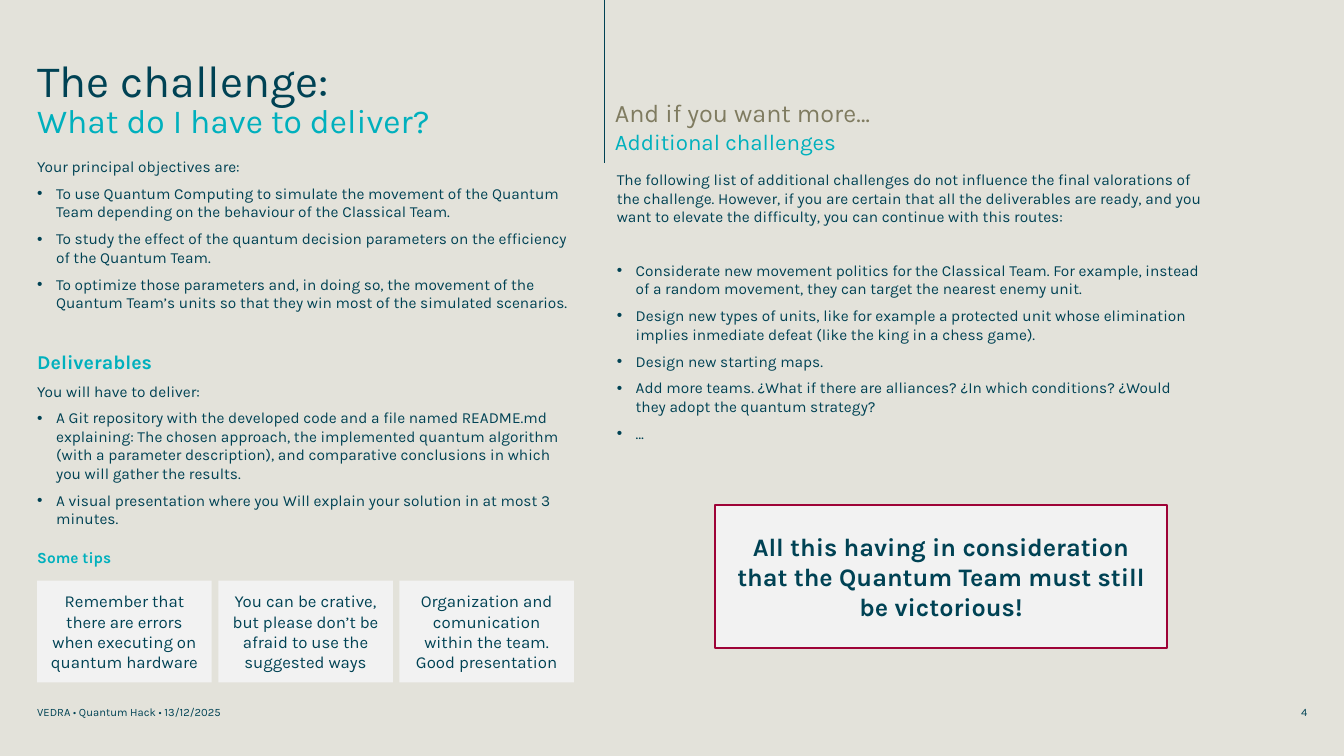
from dataclasses import dataclass

from lxml.etree import SubElement
from pptx import Presentation
from pptx.dml.color import RGBColor
from pptx.enum.shapes import MSO_CONNECTOR, MSO_SHAPE
from pptx.enum.text import MSO_ANCHOR as Anchor, PP_ALIGN as Align
from pptx.oxml.ns import qn
from pptx.util import Pt

SAND = RGBColor(0xE3, 0xE2, 0xDA)
NAVY = RGBColor(0x00, 0x42, 0x54)
TEAL = RGBColor(0x00, 0xB0, 0xBD)
OLIVE = RGBColor(0x7F, 0x7B, 0x60)
PALE = RGBColor(0xF2, 0xF2, 0xF2)
CRIMSON = RGBColor(0x9E, 0x03, 0x37)
FONT = "Karla"
BULLET_INDENT = 13.5

OBJECTIVES = [
    "To use Quantum Computing to simulate the movement of the Quantum Team "
    "depending on the behaviour of the Classical Team.",
    "To study the effect of the quantum decision parameters on the efficiency "
    "of the Quantum Team.",
    "To optimize those parameters and, in doing so, the movement of the Quantum "
    "Team’s units so that they win most of the simulated scenarios.",
]
DELIVERABLES = [
    "A Git repository with the developed code and a file named README.md "
    "explaining: The chosen approach, the implemented quantum algorithm (with a "
    "parameter description), and comparative conclusions in which you will "
    "gather the results.",
    "A visual presentation where you Will explain your solution in at most 3 "
    "minutes.",
]
TIPS = [
    "Remember that there are errors when executing on quantum hardware",
    "You can be crative, but please don’t be afraid to use the suggested ways",
    "Organization and comunication within the team. Good presentation",
]
EXTRA_INTRO = (
    "The following list of additional challenges do not influence the final "
    "valorations of the challenge. However, if you are certain that all the "
    "deliverables are ready, and you want to elevate the difficulty, you can "
    "continue with this routes:"
)
EXTRA_CHALLENGES = [
    "Considerate new movement politics for the Classical Team. For example, "
    "instead of a random movement, they can target the nearest enemy unit.",
    "Design new types of units, like for example a protected unit whose "
    "elimination implies inmediate defeat (like the king in a chess game).",
    "Design new starting maps.",
    "Add more teams. ¿What if there are alliances? ¿In which conditions? "
    "¿Would they adopt the quantum strategy?",
    "…",
]


@dataclass
class Line:
    text: str
    size: float = 11
    color: RGBColor = NAVY
    bold: bool = False
    bullet: bool = False
    before: float = 0


def style_font(font, size, color, bold=False):
    font.name = FONT
    font.size = Pt(size)
    font.bold = bold
    font.color.rgb = color


def add_bullet(paragraph):
    properties = paragraph._p.get_or_add_pPr()
    properties.set("marL", str(Pt(BULLET_INDENT)))
    properties.set("indent", str(-Pt(BULLET_INDENT)))
    SubElement(properties, qn("a:buFont"), typeface="Arial")
    SubElement(properties, qn("a:buChar"), char="•")


def add_frame(slide, left, top, width, height, anchor=Anchor.TOP):
    """Add a wrapping text box without margins and return its text frame."""
    shape = slide.shapes.add_textbox(Pt(left), Pt(top), Pt(width), Pt(height))
    frame = shape.text_frame
    frame.word_wrap = True
    frame.vertical_anchor = anchor
    frame.margin_left = frame.margin_right = 0
    frame.margin_top = frame.margin_bottom = 0
    return frame


def add_lines(slide, left, top, width, height, lines):
    frame = add_frame(slide, left, top, width, height)
    for index, line in enumerate(lines):
        paragraph = frame.add_paragraph() if index else frame.paragraphs[0]
        paragraph.text = line.text
        paragraph.space_after = Pt(6)
        if line.before:
            paragraph.space_before = Pt(line.before)
        if line.bullet:
            add_bullet(paragraph)
        style_font(paragraph.font, line.size, line.color, line.bold)


def add_heading(slide, left, top, width, height, lines, spacing=1.0):
    """Add a two-line heading whose lines differ in size and colour."""
    paragraph = add_frame(slide, left, top, width, height).paragraphs[0]
    paragraph.line_spacing = spacing
    for index, line in enumerate(lines):
        if index:
            paragraph.add_line_break()
        run = paragraph.add_run()
        run.text = line.text
        style_font(run.font, line.size, line.color)


def add_card(slide, left, top, width, height, text, size, bold=False, border=None):
    card = slide.shapes.add_shape(
        MSO_SHAPE.RECTANGLE, Pt(left), Pt(top), Pt(width), Pt(height))
    card.shadow.inherit = False
    card.fill.solid()
    card.fill.fore_color.rgb = PALE
    if border:
        card.line.color.rgb = border
        card.line.width = Pt(1.5)
    else:
        card.line.fill.background()
    frame = card.text_frame
    frame.word_wrap = True
    frame.vertical_anchor = Anchor.MIDDLE
    paragraph = frame.paragraphs[0]
    paragraph.text = text
    paragraph.alignment = Align.CENTER
    style_font(paragraph.font, size, NAVY, bold)


def add_tips(slide, left, top, width, height):
    gap = 4.7
    card_width = (width - gap * (len(TIPS) - 1)) / len(TIPS)
    for index, tip in enumerate(TIPS):
        card_left = left + index * (card_width + gap)
        add_card(slide, card_left, top, card_width, height, tip, 12)


def add_challenge(slide, left, top, width):
    add_heading(slide, left, top, width + 12, 68.4, [
        Line("The challenge:", 32), Line("What do I have to deliver?", 24, TEAL)], 0.85)
    add_lines(slide, left, top + 69.1, width, 124.6, [
        Line("Your principal objectives are:"),
        *(Line(text, bullet=True) for text in OBJECTIVES)])
    add_lines(slide, left, top + 206.6, width, 128.2, [
        Line("Deliverables", 14, TEAL, bold=True),
        Line("You will have to deliver:"),
        *(Line(text, bullet=True) for text in DELIVERABLES)])
    add_lines(slide, left, top + 348.5, width, 13.7, [
        Line("Some tips", 11, TEAL, bold=True)])
    add_tips(slide, left, top + 371.5, width - 1.8, 72.7)


def add_extras(slide, left, top, width):
    add_heading(slide, left - 1.4, top, width, 41, [
        Line("And if you want more…", 18, OLIVE),
        Line("Additional challenges", 16, TEAL)])
    first, *others = EXTRA_CHALLENGES
    add_lines(slide, left, top + 51.9, width, 196.6, [
        Line(EXTRA_INTRO),
        Line(first, bullet=True, before=19),
        *(Line(text, bullet=True) for text in others)])
    add_card(slide, left + 69.9, top + 290.9, 323.3, 102.2,
             "All this having in consideration that the Quantum Team must still "
             "be victorious!", 18, bold=True, border=CRIMSON)


def add_divider(slide, left, height):
    divider = slide.shapes.add_connector(
        MSO_CONNECTOR.STRAIGHT, Pt(left), Pt(0), Pt(left), Pt(height))
    divider.line.color.rgb = NAVY
    divider.line.width = Pt(0.5)
    SubElement(divider._element.spPr, qn("a:effectLst"))


def add_footer(slide, left, top, width):
    number_width = 30
    for text, text_left, text_width, alignment in (
        ("VEDRA • Quantum Hack • 13/12/2025", left, 571, Align.LEFT),
        ("4", left + width - number_width, number_width, Align.RIGHT),
    ):
        frame = add_frame(slide, text_left, top, text_width, 9.4, Anchor.BOTTOM)
        paragraph = frame.paragraphs[0]
        paragraph.text = text
        paragraph.alignment = alignment
        style_font(paragraph.font, 8, NAVY)


def main():
    presentation = Presentation()
    presentation.slide_width = Pt(960)
    presentation.slide_height = Pt(540)
    slide = presentation.slides.add_slide(presentation.slide_layouts[6])
    slide.background.fill.solid()
    slide.background.fill.fore_color.rgb = SAND
    add_challenge(slide, 26.6, 43.2, 385.2)
    add_divider(slide, 432, 116.6)
    add_extras(slide, 440.6, 69.8, 419.8)
    add_footer(slide, 26.6, 504, 907.2)
    presentation.save("out.pptx")


if __name__ == "__main__":
    main()
